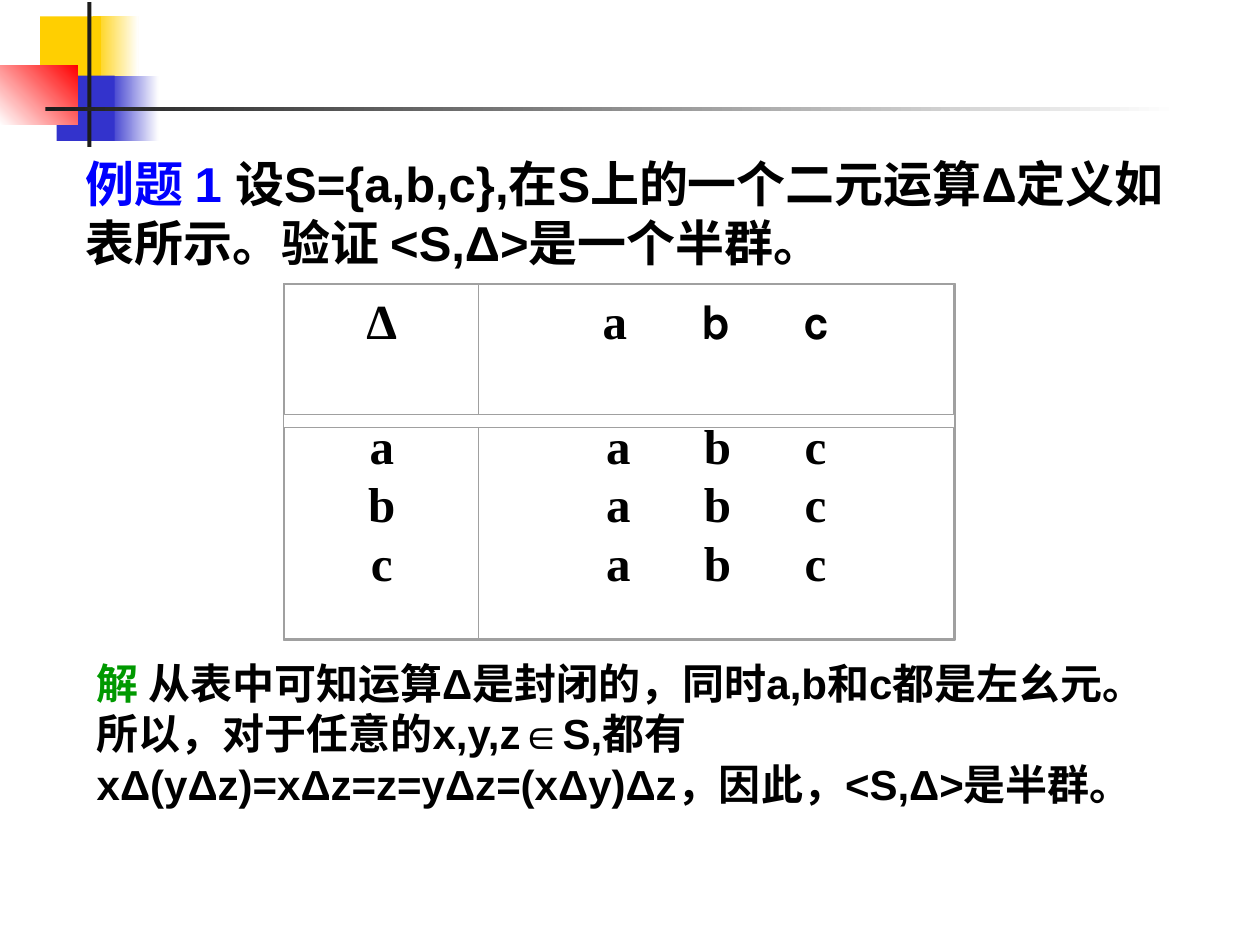
"""Build a slide that shows an operation table forms a semigroup."""
from dataclasses import dataclass

import pptx
import pptx.dml.color
import pptx.enum.shapes
import pptx.enum.text
import pptx.util

Pt = pptx.util.Pt
INK, GREY, BLUE, GREEN = "000000", "A0A0A0", "0000FF", "009900"
SERIF, SANS, KARLA = "Times New Roman", "Arial", "Karla"


@dataclass
class Box:
    x: float
    y: float
    w: float
    h: float


@dataclass
class Bar:
    box: Box
    start: str
    end: str = ""
    angle: float = 0


@dataclass
class Run:
    text: str
    font: str = SERIF
    color: str = INK
    gap: float = 0


@dataclass
class Cell:
    box: Box
    lines: list[list[Run]]


def paint(target, color: str) -> None:
    target.rgb = pptx.dml.color.RGBColor.from_string(color)


def frame(slide, box: Box):
    kind = pptx.enum.shapes.MSO_SHAPE.RECTANGLE
    shape = slide.shapes.add_shape(kind, Pt(box.x), Pt(box.y), Pt(box.w), Pt(box.h))
    shape.shadow.inherit = False
    return shape


def draw_bar(slide, bar: Bar) -> None:
    shape = frame(slide, bar.box)
    shape.line.fill.background()
    if not bar.end:
        shape.fill.solid()
        paint(shape.fill.fore_color, bar.start)
        return
    shape.fill.gradient()
    shape.fill.gradient_angle = bar.angle
    for stop, color in zip(shape.fill.gradient_stops, (bar.start, bar.end)):
        paint(stop.color, color)


def outline(slide, box: Box, width: float):
    shape = frame(slide, box)
    shape.fill.background()
    paint(shape.line.color, GREY)
    shape.line.width = Pt(width)
    return shape


def write(para, runs: list[Run], size: float) -> None:
    for item in runs:
        run = para.add_run()
        run.text = item.text
        run.font.name = item.font
        run.font.size = Pt(size)
        run.font.bold = True
        paint(run.font.color, item.color)
        if item.gap:
            run.font._element.set("spc", str(int(item.gap * 100)))


def draw_cell(slide, cell: Cell) -> None:
    body = outline(slide, cell.box, 0).text_frame
    body.word_wrap = True
    body.vertical_anchor = pptx.enum.text.MSO_ANCHOR.MIDDLE
    body.margin_top, body.margin_bottom = Pt(0), Pt(34)
    for i, line in enumerate(cell.lines):
        para = body.add_paragraph() if i else body.paragraphs[0]
        para.alignment = pptx.enum.text.PP_ALIGN.CENTER
        write(para, line, 28)


def draw_text(slide, box: Box, runs: list[Run], size: float) -> None:
    shape = slide.shapes.add_textbox(Pt(box.x), Pt(box.y), Pt(box.w), Pt(box.h))
    shape.text_frame.word_wrap = True
    write(shape.text_frame.paragraphs[0], runs, size)


def triple(font: str) -> list[Run]:
    return [Run("a"), Run("\u3000".replace("\u3000", "　"), gap=14), Run("b", font),
            Run("　", font, gap=14), Run("c", font)]


BARS = [
    Bar(Box(53.3, 9.4, 25.9, 37.4), "FFCF01", "FFFFFF"),
    Bar(Box(61.9, 43.2, 28.8, 37.4), "3333CC", "FFFFFF"),
    Bar(Box(23, 9.4, 34.6, 37.4), "FFCF01"),
    Bar(Box(32.4, 43.2, 33.1, 37.4), "3333CC"),
    Bar(Box(0, 37.4, 44.6, 33.8), "FFFFFF", "FF0000", 45),
    Bar(Box(50, 1.2, 2.2, 82.8), "1C1C1C"),
    Bar(Box(25.9, 61.2, 648, 2.5), "1C1C1C", "FFFFFF"),
]
COLS = [(162.7, 110.9), (273.6, 271.4)]
ROWS = [(162.7, 74.2), (244.1, 121)]
LINES = [
    [[[Run("Δ")]], [triple(KARLA)]],
    [[[Run(name)] for name in "abc"], [triple(SERIF) for _ in "abc"]],
]
TASK = [
    Run("例题 1 ", SANS, BLUE),
    Run("设S={a,b,c},在S上的一个二元运算Δ定义如表所示。验证 <S,Δ>是一个半群。", SANS),
]
PROOF = [
    Run("解", SANS, GREEN),
    Run(" 从表中可知运算Δ是封闭的，同时a,b和c都是左幺元。所以，对于任意的x,y,z∈S,"
        "都有xΔ(yΔz)=xΔz=z=yΔz=(xΔy)Δz，因此，<S,Δ>是半群。", SANS),
]


def main() -> None:
    deck = pptx.Presentation()
    deck.slide_width, deck.slide_height = Pt(720), Pt(540)
    slide = deck.slides.add_slide(deck.slide_layouts[6])
    for bar in BARS:
        draw_bar(slide, bar)
    draw_text(slide, Box(41.8, 84.2, 650.9, 76), TASK, 28)
    for (y, h), row in zip(ROWS, LINES):
        for (x, w), lines in zip(COLS, row):
            draw_cell(slide, Cell(Box(x, y, w, h), lines))
    outline(slide, Box(162, 162, 383.8, 203.8), 0.88)
    draw_text(slide, Box(48.2, 372.2, 612, 93.6), PROOF, 24)
    deck.save("out.pptx")


if __name__ == "__main__":
    main()
